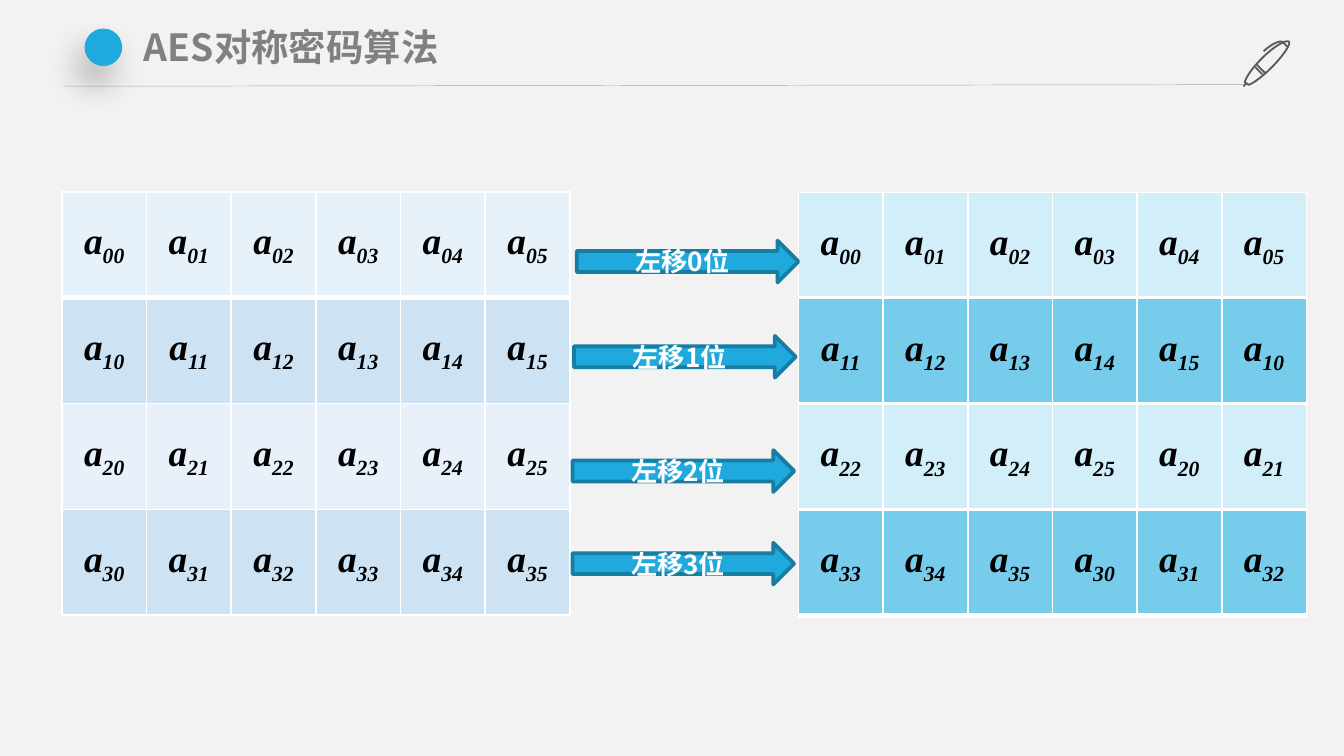
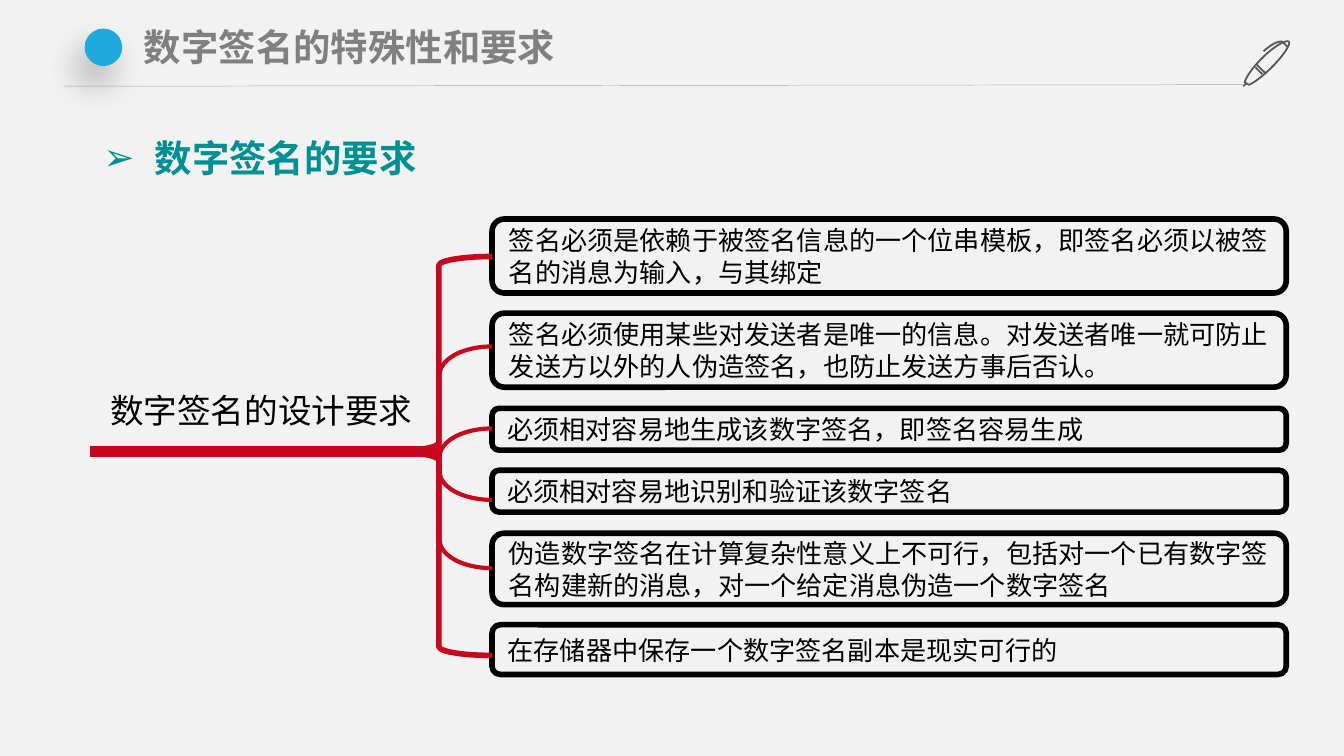
from dataclasses import dataclass

from lxml import etree
from pptx import Presentation
from pptx.dml.color import RGBColor
from pptx.enum.shapes import MSO_CONNECTOR, MSO_SHAPE
from pptx.enum.text import MSO_ANCHOR, MSO_AUTO_SIZE, PP_ALIGN
from pptx.oxml.ns import qn
from pptx.util import Cm, Pt

LINE = MSO_CONNECTOR.STRAIGHT
OVAL, ARROW = MSO_SHAPE.OVAL, MSO_SHAPE.RIGHT_ARROW
ROUND, BRACE, HOOK = MSO_SHAPE.ROUNDED_RECTANGLE, MSO_SHAPE.LEFT_BRACE, MSO_SHAPE.LEFT_BRACKET
TOP, MID = MSO_ANCHOR.TOP, MSO_ANCHOR.MIDDLE
LEFT, CENTER = PP_ALIGN.LEFT, PP_ALIGN.CENTER
GROW = MSO_AUTO_SIZE.SHAPE_TO_FIT_TEXT


@dataclass(frozen=True)
class Theme:
    page: str = "F2F2F2"
    blue: str = "20A9DD"
    edge: str = "187DA3"
    grey: str = "808080"
    rule: str = "A6A6A6"
    pen: str = "595959"
    teal: str = "008F92"
    red: str = "C8071D"
    black: str = "000000"
    white: str = "FFFFFF"
    before: tuple = ("E7F1F9", "CDE2F2", "E8F1F9", "CDE2F2")
    after: tuple = ("D2EEF8", "78CCEB", "D2EEF8", "78CCEB")
    sans: str = "Noto Sans CJK SC"
    serif: str = "Times New Roman"
    head: int = 20
    label: int = 18
    text: int = 14


THEME = Theme()


@dataclass(frozen=True)
class Box:
    """Left, top, width and height in centimetres."""
    x: float
    y: float
    w: float
    h: float

    def place(self) -> tuple:
        return Cm(self.x), Cm(self.y), Cm(self.w), Cm(self.h)


@dataclass(frozen=True)
class Style:
    size: int
    color: str
    bold: bool = False
    slant: bool = False
    font: str = THEME.sans


@dataclass(frozen=True)
class Shift:
    x: float
    y: float
    text: str


@dataclass(frozen=True)
class Need:
    y: float
    h: float
    text: str


@dataclass(frozen=True)
class Curve:
    kind: int
    box: Box
    bends: tuple
    width: float


TITLE = Style(THEME.head, THEME.grey, True)
TOPIC = Style(THEME.head, THEME.teal, True, font=THEME.serif)
LABEL = Style(THEME.label, THEME.black)
BODY = Style(THEME.text, THEME.black)
MOVE = Style(THEME.text, THEME.white, True)
CELL = Style(THEME.head, THEME.black, True, True, THEME.serif)

COLS, ROWS = 6, 4
COL_W, ROW_H = 1.6, 2.0

SHIFTS = (
    Shift(10.9, 4.55, "左移0位"),
    Shift(10.85, 6.35, "左移1位"),
    Shift(10.82, 8.51, "左移2位"),
    Shift(10.82, 10.26, "左移3位"),
)

NEEDS = (
    Need(4.14, 1.4, "签名必须是依赖于被签名信息的一个位串模板，即签名必须以被签名的消息为输入，与其绑定"),
    Need(5.92, 1.4, "签名必须使用某些对发送者是唯一的信息。对发送者唯一就可防止"
                    "发送方以外的人伪造签名，也防止发送方事后否认。"),
    Need(7.72, 0.79, "必须相对容易地生成该数字签名，即签名容易生成"),
    Need(8.89, 0.79, "必须相对容易地识别和验证该数字签名"),
    Need(10.08, 1.35, "伪造数字签名在计算复杂性意义上不可行，包括对一个已有数字签"
                      "名构建新的消息，对一个给定消息伪造一个数字签名"),
    Need(11.81, 0.94, "在存储器中保存一个数字签名副本是现实可行的"),
)

CURVES = (
    Curve(BRACE, Box(7.29, 4.85, 2.01, 7.54), (0.083, 0.489), 3),
    Curve(HOOK, Box(8.31, 6.55, 0.99, 4.19), (0.538,), 2.25),
    Curve(HOOK, Box(8.31, 8.1, 0.99, 1.35), (0.538,), 2.25),
)

# Pen strokes on a 35-unit grid: a start, then lines (2 numbers) or curves (6)
PEN_BOX = Box(23.5, 0.74, 0.89, 0.89)
PEN_GRID = 35
PEN = (
    ((14, 26), (9, 21)),
    ((10, 19), (16, 25)),
    ((34, 2), (32, 0, 23, 5, 14, 14), (7, 21, 2, 28, 1, 32), (4, 34),
     (7, 33, 14, 28, 21, 21), (30, 12, 35, 4, 34, 2)),
    ((2, 33), (0, 35)),
    ((33, 6), (33, 6, 31, 4, 29, 2), (29, 2, 25, 0, 15, 9)),
)


# Text and shape helpers
def tint(code: str) -> RGBColor:
    return RGBColor.from_string(code)


def add_run(para, text: str, style: Style, base: int = 0) -> None:
    run = para.add_run()
    run.text = text
    font = run.font
    font.name, font.size = style.font, Pt(style.size)
    font.bold, font.italic = style.bold, style.slant
    font.color.rgb = tint(style.color)
    props = run._r.get_or_add_rPr()
    etree.SubElement(props, qn("a:ea"), typeface=THEME.sans)
    if base:
        props.set("baseline", str(base * 1000))


def write(frame, text: str, style: Style, align=LEFT, anchor=TOP):
    frame.word_wrap = True
    frame.vertical_anchor = anchor
    para = frame.paragraphs[0]
    para.alignment = align
    add_run(para, text, style)
    return para


def set_box(shape, box: Box) -> None:
    shape.left, shape.top, shape.width, shape.height = box.place()


def paint(shape, fill: str = "", line: str = "", width: float = 1) -> None:
    shape.shadow.inherit = False
    if fill:
        shape.fill.solid()
        shape.fill.fore_color.rgb = tint(fill)
    else:
        shape.fill.background()
    if line:
        shape.line.color.rgb = tint(line)
        shape.line.width = Pt(width)
    else:
        shape.line.fill.background()


def add_form(slide, kind, box: Box, fill: str = "", line: str = "", width: float = 1):
    shape = slide.shapes.add_shape(kind, *box.place())
    paint(shape, fill, line, width)
    return shape


def add_line(slide, start: tuple, end: tuple, color: str, width: float):
    ends = [Cm(value) for value in start + end]
    line = slide.shapes.add_connector(LINE, *ends)
    line.line.color.rgb = tint(color)
    line.line.width = Pt(width)
    etree.SubElement(line.element.spPr, qn("a:effectLst"))
    return line


# Shared frame on the master
def trace(stroke: tuple, steps: int = 10) -> list:
    """Turn a stroke into points, with each cubic curve sampled evenly."""
    points = [stroke[0]]
    for part in stroke[1:]:
        if len(part) == 2:
            points.append(part)
            continue
        nodes = (points[-1], part[:2], part[2:4], part[4:])
        for step in range(1, steps + 1):
            t = step / steps
            u = 1 - t
            blend = (u ** 3, 3 * u * u * t, 3 * u * t * t, t ** 3)
            points.append(tuple(sum(k * node[axis] for k, node in zip(blend, nodes))
                                for axis in (0, 1)))
    return points


def add_pen(slide):
    unit = Cm(PEN_BOX.w) / PEN_GRID
    left, top = Cm(PEN_BOX.x), Cm(PEN_BOX.y)
    maker = None
    for stroke in PEN:
        points = [(left + x * unit, top + y * unit) for x, y in trace(stroke)]
        if maker is None:
            maker = slide.shapes.build_freeform(*points[0], scale=1.0)
        else:
            maker.move_to(*points[0])
        maker.add_line_segments(points[1:], close=stroke[0] == stroke[-1][-2:])
    pen = maker.convert_to_shape()
    paint(pen, line=THEME.pen)
    return pen


def add_dot(slide):
    dot = add_form(slide, OVAL, Box(1.6, 0.54, 0.71, 0.71), THEME.blue)
    glow = etree.SubElement(
        dot.element.spPr.find(qn("a:effectLst")), qn("a:outerShdw"),
        blurRad=str(Pt(18)), dist=str(Pt(11)), dir=str(113 * 60000),
        algn="ctr", rotWithShape="0")
    color = etree.SubElement(glow, qn("a:srgbClr"), val=THEME.black)
    etree.SubElement(color, qn("a:alpha"), val="27000")
    return dot


def dress(master, slide) -> None:
    """Set the page colour and move the header parts to the master."""
    master.background.fill.solid()
    master.background.fill.fore_color.rgb = tint(THEME.page)
    parts = (add_line(slide, (1.22, 1.63), (23.5, 1.6), THEME.rule, 0.25),
             add_pen(slide), add_dot(slide))
    for mark, part in enumerate(parts, 101):
        part.element.xpath(".//p:cNvPr")[0].set("id", str(mark))
        master.shapes.element.append(part.element)


def set_title(slide, text: str) -> None:
    title = slide.shapes.title
    set_box(title, Box(2.49, 0.36, 21.01, 1.09))
    frame = title.text_frame
    frame.margin_left = frame.margin_right = Cm(0.23)
    frame.margin_top = frame.margin_bottom = Cm(0.1)
    frame.auto_size = GROW
    write(frame, text, TITLE)


# Tables
def set_edge(cell, side: str, width: float) -> None:
    props = cell._tc.get_or_add_tcPr()
    edge = etree.Element(qn(f"a:ln{side}"), w=str(Pt(width)))
    fill = etree.SubElement(edge, qn("a:solidFill"))
    etree.SubElement(fill, qn("a:srgbClr"), val=THEME.white)
    props.insert("LRTB".index(side), edge)


def add_grid(slide, x: float, y: float, rows: list, fills: tuple, thick: int) -> None:
    """Draw rows of index pairs; row number `thick` has the heavy lower edge."""
    box = Box(x, y, COLS * COL_W, len(rows) * ROW_H)
    table = slide.shapes.add_table(len(rows), COLS, *box.place()).table
    table.first_row = table.horz_banding = False
    for r, row in enumerate(rows):
        table.rows[r].height = Cm(ROW_H)
        for c, pair in enumerate(row):
            cell = table.cell(r, c)
            cell.fill.solid()
            cell.fill.fore_color.rgb = tint(fills[r])
            cell.vertical_anchor = MID
            para = cell.text_frame.paragraphs[0]
            para.alignment = CENTER
            add_run(para, "a", CELL)
            add_run(para, pair, CELL, -25)
            for side in "LRTB":
                heavy = (side == "B" and r == thick) or (side == "T" and r == thick + 1)
                set_edge(cell, side, 3 if heavy else 1)


# Slides
def draw_shift(slide) -> None:
    set_title(slide, "AES对称密码算法")
    state = [[f"{r}{c}" for c in range(COLS)] for r in range(ROWS)]
    add_grid(slide, 1.17, 3.63, state, THEME.before, 0)
    for r, row in enumerate(state):
        add_grid(slide, 15.09, 3.64 + r * ROW_H, [row[r:] + row[:r]],
                 THEME.after[r:r + 1], 0)
    for move in SHIFTS:
        arrow = add_form(slide, ARROW, Box(move.x, move.y, 4.19, 0.79),
                         THEME.blue, THEME.edge, 2)
        write(arrow.text_frame, move.text, MOVE, CENTER, MID)


def draw_needs(slide) -> None:
    set_title(slide, "数字签名的特殊性和要求")

    # Topic line
    topic = slide.placeholders[1]
    set_box(topic, Box(1.7, 2.18, 22.81, 1.27))
    topic.text_frame.auto_size = GROW
    para = topic.text_frame.paragraphs[0]
    props = para._p.get_or_add_pPr()
    props.set("marL", str(Cm(0.97)))
    props.set("indent", str(-Cm(0.97)))
    etree.SubElement(props, qn("a:buChar"), char="➢")
    para.line_spacing = 1.3
    para.space_before, para.space_after = Pt(0), Pt(3)
    write(topic.text_frame, "数字签名的要求", TOPIC)

    # Boxes on the right
    for need in NEEDS:
        shape = add_form(slide, ROUND, Box(9.3, need.y, 15.01, need.h),
                         line=THEME.black, width=3)
        write(shape.text_frame, need.text, BODY, anchor=MID)

    # Stem and branches
    label = slide.shapes.add_textbox(*Box(1.83, 7.24, 6.83, 1.02).place())
    label.text_frame.auto_size = GROW
    write(label.text_frame, "数字签名的设计要求", LABEL)
    add_line(slide, (1.7, 8.53), (8.31, 8.53), THEME.red, 6)
    for curve in CURVES:
        shape = add_form(slide, curve.kind, curve.box, line=THEME.red, width=curve.width)
        for spot, bend in enumerate(curve.bends):
            shape.adjustments[spot] = bend


def main() -> None:
    deck = Presentation()
    deck.slide_width, deck.slide_height = Cm(25.4), Cm(14.29)
    first = deck.slides.add_slide(deck.slide_layouts[5])
    dress(deck.slide_master, first)
    draw_shift(first)
    draw_needs(deck.slides.add_slide(deck.slide_layouts[1]))
    deck.save("out.pptx")


if __name__ == "__main__":
    main()
